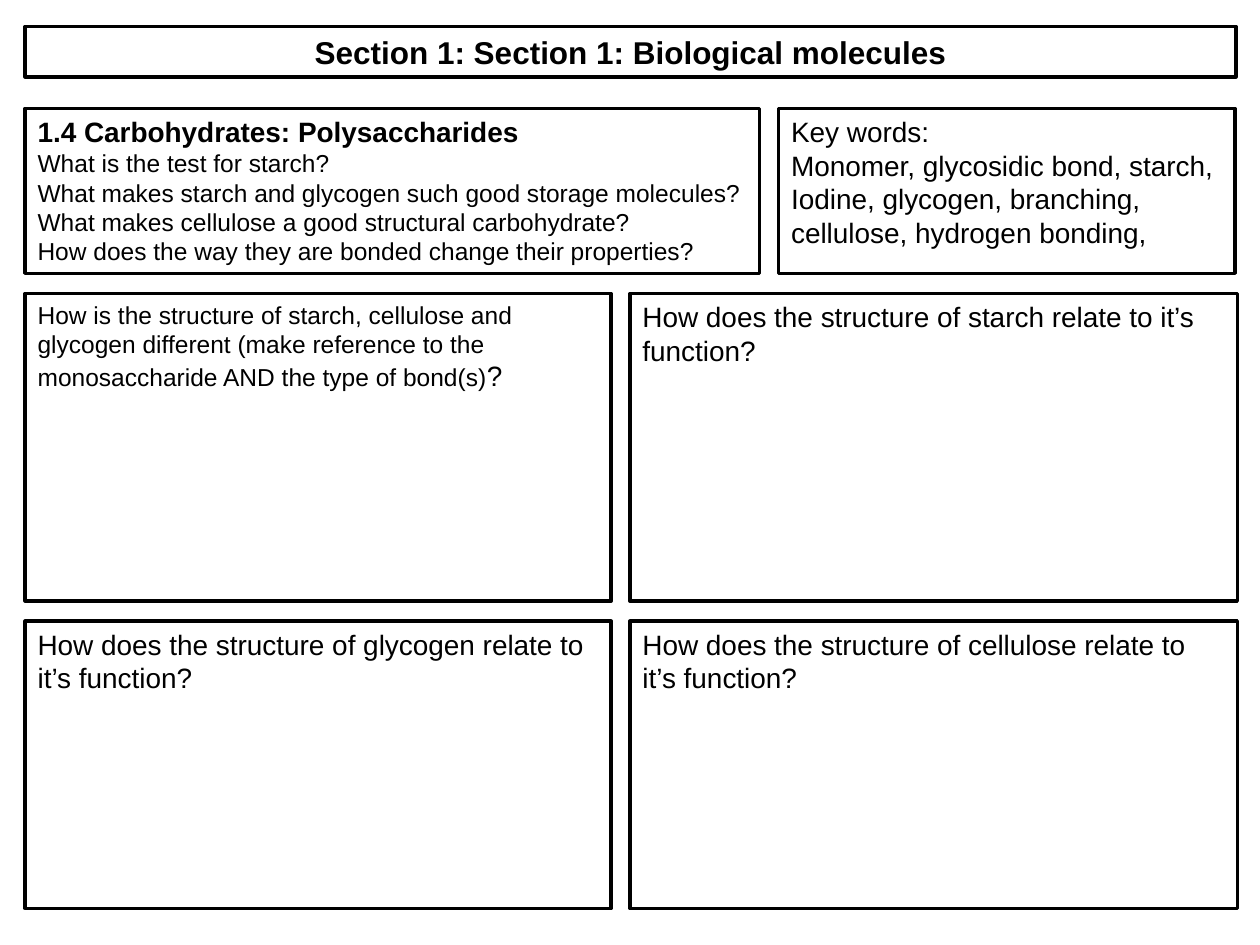
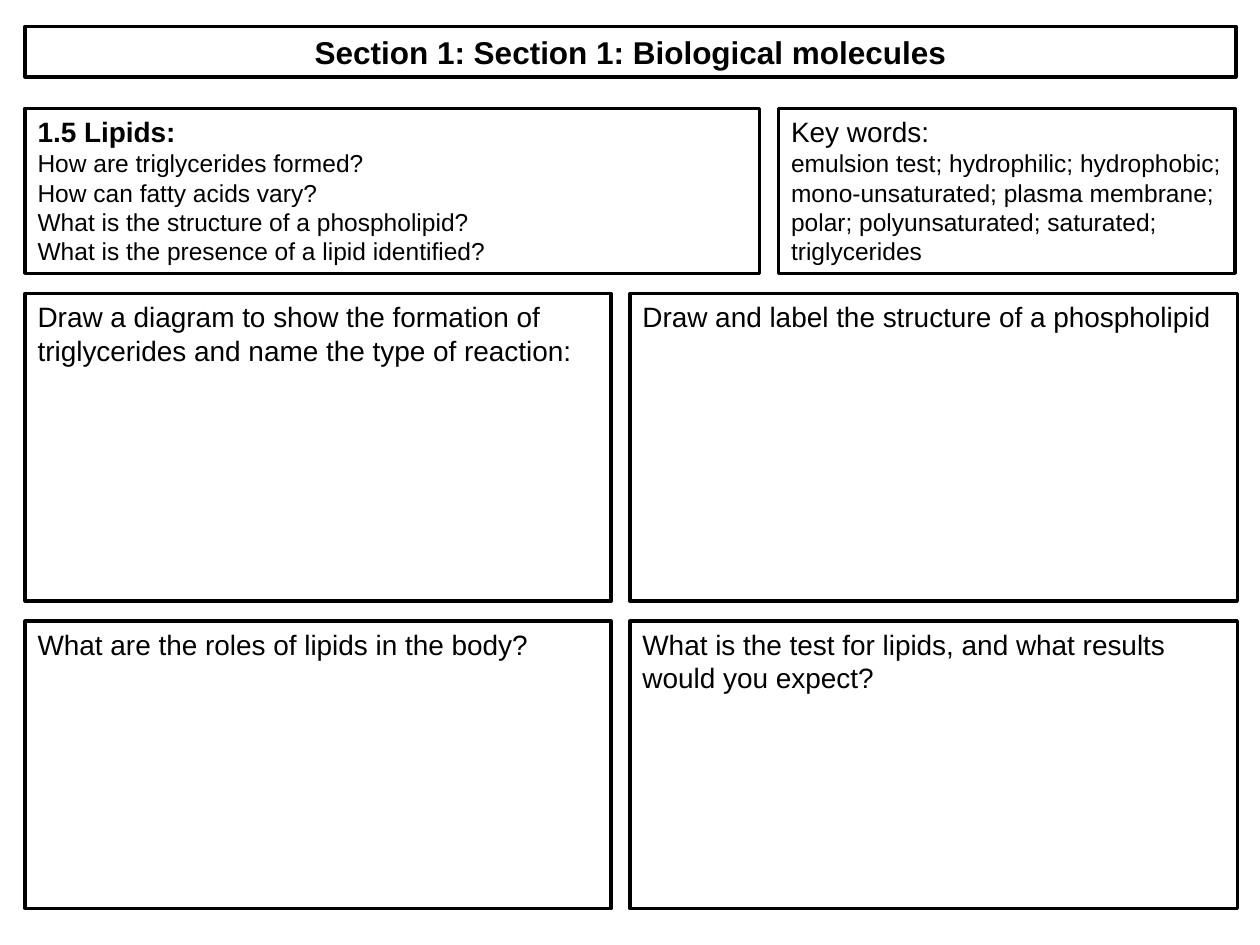
from typing import NamedTuple

import pptx
import pptx.dml.color
import pptx.enum.shapes
import pptx.enum.text
import pptx.util

Inches = pptx.util.Inches
ALIGN = pptx.enum.text.PP_ALIGN
ANCHOR = pptx.enum.text.MSO_ANCHOR

# Shared style
INK, PAPER = "000000", "FFFFFF"
FONT_NAME = "Arial"
BORDER_POINTS = 2
TITLE_SIZE, LARGE, SMALL = 18, 16, 14
TITLE_ONLY_LAYOUT = 5
SECTION_TITLE = "Section 1: Section 1: Biological molecules"


class Box(NamedTuple):
    left: float
    top: float
    width: float
    height: float


class Run(NamedTuple):
    text: str
    size: int = LARGE
    bold: bool = False


Paragraph = tuple[Run, ...]


class Worksheet(NamedTuple):
    topic: str
    objectives: tuple[str, ...]
    key_words: tuple[str, ...]
    key_word_size: int
    tasks: tuple[Paragraph, ...]  # row by row


# Shared page layout
TITLE_BOX = Box(0.2, 0.21, 9.61, 0.4)
OBJECTIVES_BOX = Box(0.2, 0.86, 5.83, 1.31)
KEY_WORDS_BOX = Box(6.18, 0.86, 3.62, 1.31)
TASK_COLUMNS = ((0.2, 4.65), (5.0, 4.82))  # left, width
TASK_ROWS = ((2.33, 2.44), (4.93, 2.28))  # top, height
TASK_BOXES = [Box(left, top, width, height)
              for top, height in TASK_ROWS
              for left, width in TASK_COLUMNS]

WORKSHEETS = (
    Worksheet(
        topic="1.4 Carbohydrates: Polysaccharides",
        objectives=(
            "What is the test for starch?",
            "What makes starch and glycogen such good storage molecules?",
            "What makes cellulose a good structural carbohydrate?",
            "How does the way they are bonded change their properties?",
        ),
        key_words=(
            "Monomer, glycosidic bond, starch,",
            "Iodine, glycogen, branching, cellulose, hydrogen bonding,",
        ),
        key_word_size=LARGE,
        tasks=(
            (Run("How is the structure of starch, cellulose and glycogen "
                 "different (make reference to the monosaccharide AND the "
                 "type of bond(s)", SMALL), Run("?")),
            (Run("How does the structure of starch relate to it’s function?"),),
            (Run("How does the structure of glycogen relate to it’s function?"),),
            (Run("How does the structure of cellulose relate to it’s function?"),),
        ),
    ),
    Worksheet(
        topic="1.5 Lipids:",
        objectives=(
            "How are triglycerides formed?",
            "How can fatty acids vary?",
            "What is the structure of a phospholipid?",
            "What is the presence of a lipid identified?",
        ),
        key_words=(
            "emulsion test; hydrophilic; hydrophobic; mono-unsaturated; "
            "plasma membrane; polar; polyunsaturated; saturated; triglycerides",
        ),
        key_word_size=SMALL,
        tasks=(
            (Run("Draw a diagram to show the formation of triglycerides "
                 "and name the type of reaction:"),),
            (Run("Draw and label the structure of a phospholipid"),),
            (Run("What are the roles of lipids in the body?"),),
            (Run("What is the test for lipids, and what results would you expect?"),),
        ),
    ),
)


def color(value: str) -> pptx.dml.color.RGBColor:
    return pptx.dml.color.RGBColor.from_string(value)


def set_attributes(target, values: dict) -> None:
    for name, value in values.items():
        setattr(target, name, value)


def apply_border(shape) -> None:
    """Give a shape the white fill and black outline of every box."""
    shape.fill.solid()
    shape.fill.fore_color.rgb = color(PAPER)
    shape.line.color.rgb = color(INK)
    shape.line.width = pptx.util.Pt(BORDER_POINTS)


def write_text(shape, paragraphs: list[Paragraph], alignment, anchor) -> None:
    frame = shape.text_frame
    set_attributes(frame, {
        "word_wrap": True,
        "auto_size": pptx.enum.text.MSO_AUTO_SIZE.NONE,
        "vertical_anchor": anchor,
    })
    for index, runs in enumerate(paragraphs):
        paragraph = frame.add_paragraph() if index else frame.paragraphs[0]
        paragraph.alignment = alignment
        for item in runs:
            run = paragraph.add_run()
            run.text = item.text
            set_attributes(run.font, {
                "name": FONT_NAME,
                "size": pptx.util.Pt(item.size),
                "bold": item.bold,
            })
            run.font.color.rgb = color(INK)


def add_title(slide) -> None:
    title = slide.shapes.title
    set_attributes(title, {name: Inches(value)
                           for name, value in TITLE_BOX._asdict().items()})
    apply_border(title)
    write_text(title, [(Run(SECTION_TITLE, TITLE_SIZE, True),)],
               ALIGN.CENTER, ANCHOR.MIDDLE)


def add_box(slide, box: Box, paragraphs: list[Paragraph]) -> None:
    shape = slide.shapes.add_shape(
        pptx.enum.shapes.MSO_SHAPE.RECTANGLE, *map(Inches, box))
    shape.shadow.inherit = False
    apply_border(shape)
    write_text(shape, paragraphs, ALIGN.LEFT, ANCHOR.TOP)


def add_worksheet(presentation, worksheet: Worksheet) -> None:
    slide = presentation.slides.add_slide(
        presentation.slide_layouts[TITLE_ONLY_LAYOUT])
    add_title(slide)

    # Topic with its objectives, and key words
    add_box(slide, OBJECTIVES_BOX,
            [(Run(worksheet.topic, bold=True),)]
            + [(Run(text, SMALL),) for text in worksheet.objectives])
    add_box(slide, KEY_WORDS_BOX,
            [(Run("Key words:"),)]
            + [(Run(text, worksheet.key_word_size),)
               for text in worksheet.key_words])

    # Task grid
    for box, task in zip(TASK_BOXES, worksheet.tasks):
        add_box(slide, box, [task])


def main() -> None:
    presentation = pptx.Presentation()
    presentation.slide_width = Inches(10)
    presentation.slide_height = Inches(7.5)
    for worksheet in WORKSHEETS:
        add_worksheet(presentation, worksheet)
    presentation.save("out.pptx")


if __name__ == "__main__":
    main()
